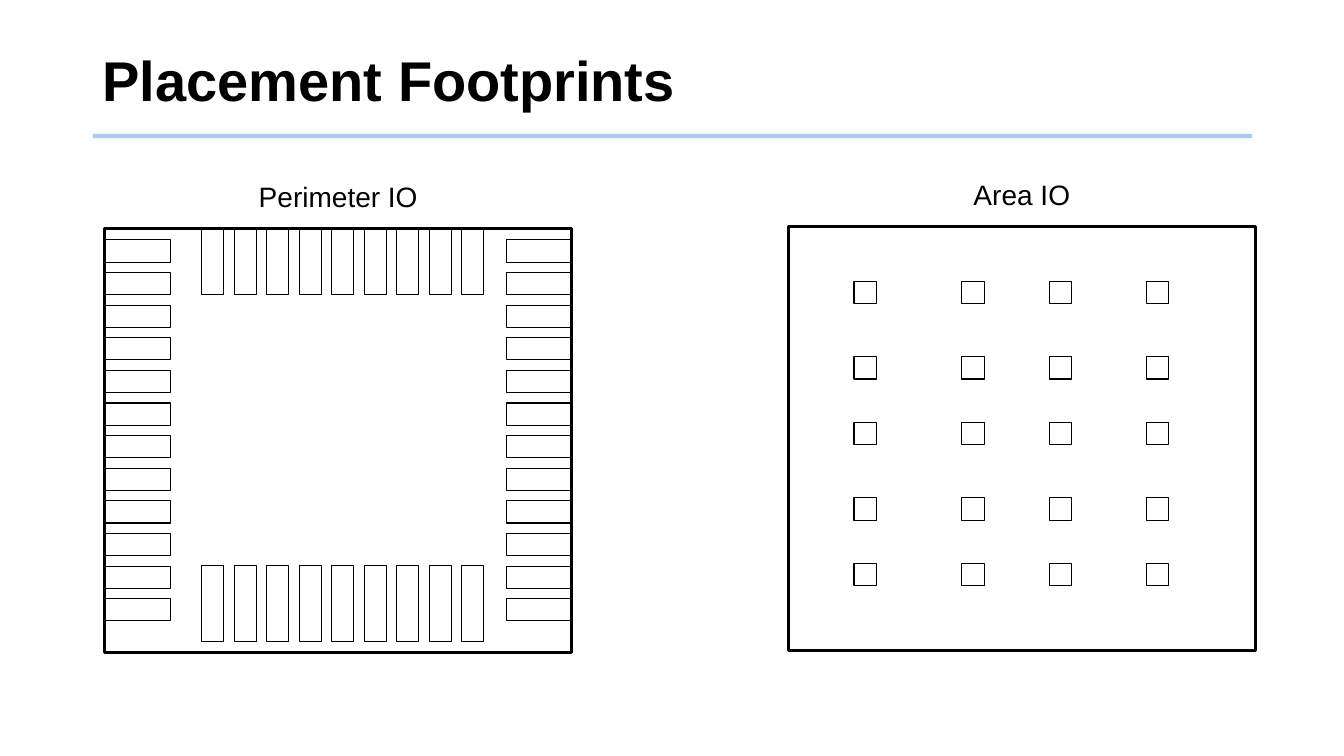
from dataclasses import dataclass

import lxml.etree
import pptx
import pptx.dml.color
import pptx.enum.shapes
import pptx.enum.text
import pptx.oxml.ns
import pptx.util
from pptx.util import Inches


@dataclass(frozen=True)
class Theme:
    font: str = "Arial"
    ink: str = "000000"
    rule: str = "5B9BD5"
    rule_opacity: int = 50
    title_size: int = 40
    label_size: int = 20
    rule_width: float = 3
    die_width: float = 2.22
    pad_width: float = 0.75


THEME = Theme()
DIE_WIDTH, DIE_HEIGHT = 4.63, 4.2
PAD_LENGTH, BOTTOM_PAD_LENGTH, PAD_THICKNESS = 0.65, 0.75, 0.22


def color(code):
    return pptx.dml.color.RGBColor.from_string(code)


def spread(first, last, count):
    """Return evenly spaced positions, both ends included."""
    step = (last - first) / (count - 1)
    return [first + index * step for index in range(count)]


def add_text(slide, text, place, size, line_spacing=1.0, bold=False,
             align=pptx.enum.text.PP_ALIGN.LEFT):
    box = slide.shapes.add_textbox(*map(Inches, place))
    frame = box.text_frame
    frame.word_wrap = True
    frame.vertical_anchor = pptx.enum.text.MSO_ANCHOR.MIDDLE
    para = frame.paragraphs[0]
    para.alignment = align
    para.line_spacing = line_spacing
    span = para.add_run()
    span.text = text
    formats = {"name": THEME.font, "size": pptx.util.Pt(size), "bold": bold}
    for name, value in formats.items():
        setattr(span.font, name, value)
    span.font.color.rgb = color(THEME.ink)


def add_title_rule(slide, left, right, top):
    rule = slide.shapes.add_connector(
        pptx.enum.shapes.MSO_CONNECTOR.STRAIGHT,
        Inches(left), Inches(top), Inches(right), Inches(top))
    rule.line.width = pptx.util.Pt(THEME.rule_width)
    rule.line.color.rgb = color(THEME.rule)
    qn = pptx.oxml.ns.qn
    properties = rule._element.spPr
    shade = properties.find(".//" + qn("a:srgbClr"))
    alpha = lxml.etree.SubElement(shade, qn("a:alpha"))
    alpha.set("val", str(THEME.rule_opacity * 1000))
    lxml.etree.SubElement(properties, qn("a:effectLst"))


def add_outline(group, left, top, width, height, line_width=THEME.pad_width):
    shape = group.shapes.add_shape(
        pptx.enum.shapes.MSO_SHAPE.RECTANGLE,
        *map(Inches, (left, top, width, height)))
    shape.shadow.inherit = False
    shape.fill.background()
    shape.line.width = pptx.util.Pt(line_width)
    shape.line.color.rgb = color(THEME.ink)


def add_die(slide, label, left, top):
    """Draw a labelled die outline and return the group for its pads."""
    add_text(slide, label, (left, top - 0.54, DIE_WIDTH, 0.44),
             THEME.label_size, align=pptx.enum.text.PP_ALIGN.CENTER)
    group = slide.shapes.add_group_shape()
    add_outline(group, left, top, DIE_WIDTH, DIE_HEIGHT, THEME.die_width)
    return group


def add_perimeter_die(slide, left, top):
    group = add_die(slide, "Perimeter IO", left, top)
    right_pads = left + DIE_WIDTH - PAD_LENGTH
    for pad_top in spread(top + 0.11, top + 3.67, 12):
        for pad_left in (left, right_pads):
            add_outline(group, pad_left, pad_top, PAD_LENGTH, PAD_THICKNESS)
    bottom_pads = top + DIE_HEIGHT - 0.11 - BOTTOM_PAD_LENGTH
    for pad_left in spread(left + 0.96, left + 3.54, 9):
        add_outline(group, pad_left, top, PAD_THICKNESS, PAD_LENGTH)
        add_outline(group, pad_left, bottom_pads,
                    PAD_THICKNESS, BOTTOM_PAD_LENGTH)


def add_area_die(slide, left, top):
    group = add_die(slide, "Area IO", left, top)
    for column in (0.65, 1.72, 2.59, 3.55):
        for row in (0.54, 1.29, 1.94, 2.69, 3.34):
            add_outline(group, left + column, top + row,
                        PAD_THICKNESS, PAD_THICKNESS)


def main():
    deck = pptx.Presentation()
    deck.slide_width, deck.slide_height = Inches(13.33), Inches(7.5)
    slide = deck.slides.add_slide(deck.slide_layouts[6])
    add_title_rule(slide, 0.92, 12.42, 1.35)
    add_text(slide, "Placement Footprints", (0.92, 0.28, 11.5, 1.1),
             THEME.title_size, line_spacing=0.9, bold=True)
    add_perimeter_die(slide, 1.04, 2.27)
    add_area_die(slide, 7.82, 2.25)
    deck.save("out.pptx")


if __name__ == "__main__":
    main()
